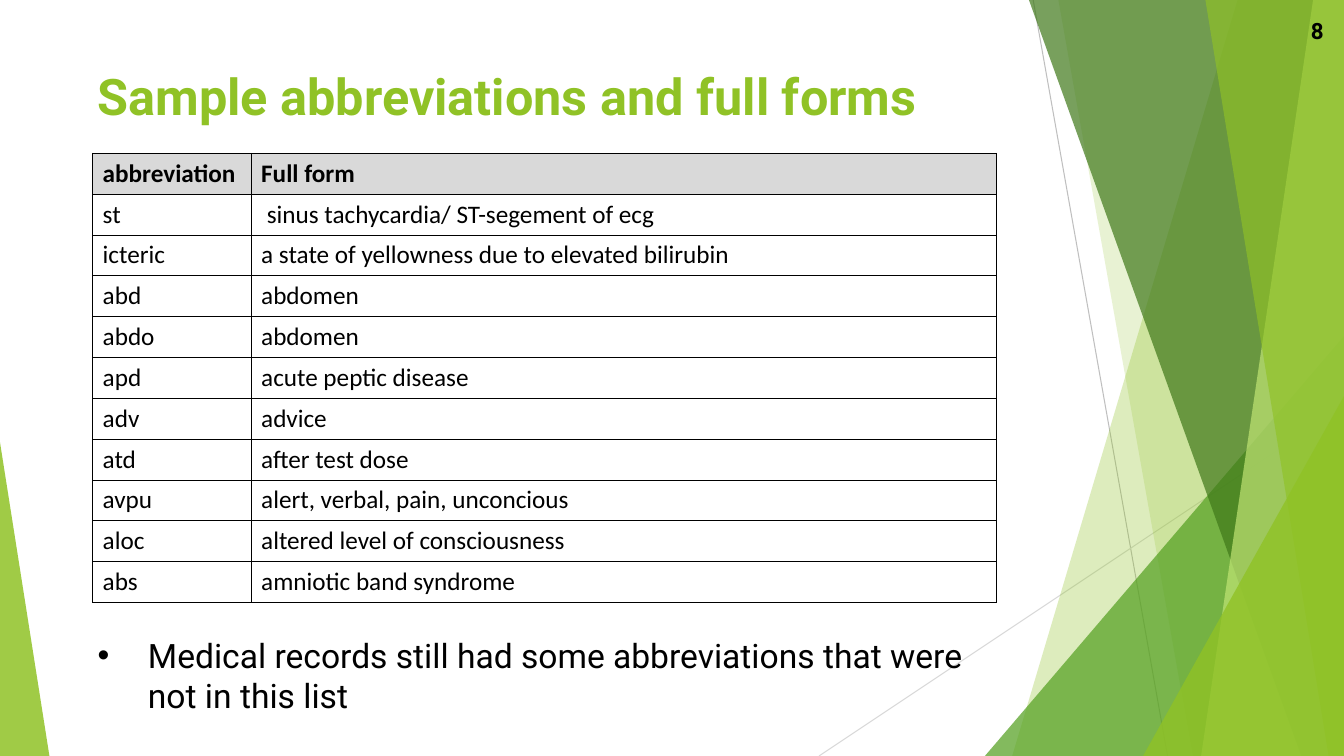
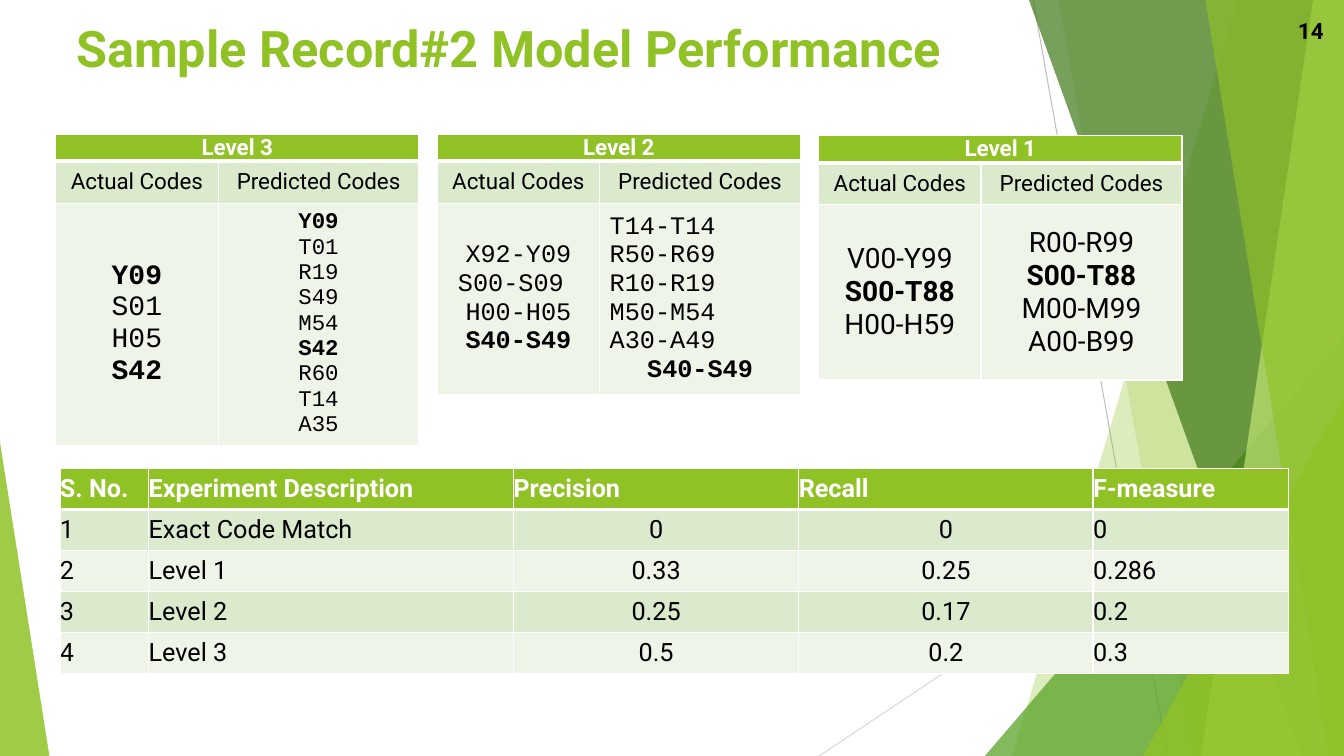
from dataclasses import dataclass, replace

from lxml.etree import SubElement
from pptx import Presentation
from pptx.dml.color import RGBColor
from pptx.enum.shapes import MSO_CONNECTOR as Connector, MSO_SHAPE as Shape
from pptx.enum.text import MSO_ANCHOR as Anchor, PP_ALIGN as Align
from pptx.oxml.ns import qn
from pptx.util import Pt


# Theme: colours, fonts and type sizes
class Theme:
    GREEN, MID_GREEN, DARK_GREEN, LIME = "90C226", "54A021", "3F7819", "C0E474"
    BAND, PALE_BAND, HEADER_GREY = "DBE9CD", "EEF4E8", "D9D9D9"
    BLACK, WHITE = "000000", "FFFFFF"
    RULE_DARK, RULE_LIGHT = "BFBFBF", "D9D9D9"
    SANS, TABLE, MONO = "Roboto", "Calibri", "Courier New"
    TITLE, BULLET, LARGE, BODY, SMALL = 36, 24, 20, 18, 16


@dataclass(frozen=True)
class TextStyle:
    size: float = Theme.BODY
    font: str = Theme.SANS
    color: str = Theme.BLACK
    bold: bool = False
    align: Align = Align.LEFT


@dataclass
class Cell:
    lines: list  # (text, TextStyle) pairs, one per paragraph
    fill: str = ""
    inset: tuple = (0, 0)  # horizontal, vertical
    anchor: Anchor = Anchor.MIDDLE
    border: str = Theme.WHITE
    border_width: float = 1
    bottom_width: float = 1


WIDTH, HEIGHT = 960, 540
CELL_INSET = (7.2, 3.6)

# Background decoration: colour, opacity in percent, outline points
FACETS_BACK = [
    (Theme.GREEN, 30, [(884, 0), (WIDTH, 0), (WIDTH, HEIGHT), (723, HEIGHT)]),
    (Theme.GREEN, 20, [(756, 0), (WIDTH, 0), (WIDTH, HEIGHT), (852, HEIGHT)]),
]
FACETS_FRONT = [
    (Theme.DARK_GREEN, 70, [(735, 0), (WIDTH, 0), (WIDTH, HEIGHT), (929.5, HEIGHT)]),
    (Theme.LIME, 70, [(938, 0), (WIDTH, 0), (WIDTH, HEIGHT), (858, HEIGHT)]),
    (Theme.GREEN, 65, [(861, 0), (WIDTH, 0), (WIDTH, HEIGHT), (949, HEIGHT)]),
]


class Deck:
    def __init__(self):
        self.presentation = Presentation()
        self.presentation.slide_width = Pt(WIDTH)
        self.presentation.slide_height = Pt(HEIGHT)
        self.slide = None

    # Slide frame: decoration, title and page number
    def add_slide(self, title, title_left, title_top, number):
        layout = self.presentation.slide_layouts[6]
        self.slide = self.presentation.slides.add_slide(layout)
        self.decorate()
        title_style = TextStyle(Theme.TITLE, color=Theme.GREEN, bold=True)
        self.text((title_left, title_top, 828, 60), title, title_style)
        number_style = TextStyle(Theme.SMALL, bold=True, align=Align.RIGHT)
        self.text((898.5, 7.2, 54, 28.8), number, number_style, Anchor.MIDDLE)

    def decorate(self):
        self.line((738, 0), (834, HEIGHT), Theme.RULE_DARK)
        self.line((WIDTH, 290), (585, HEIGHT), Theme.RULE_LIGHT)
        for facet in FACETS_BACK:
            self.facet(*facet)
        self.triangle((703.5, 240, 256.5, 300), 1, Theme.MID_GREEN, 72)
        for facet in FACETS_FRONT:
            self.facet(*facet)
        self.triangle((816.5, 283, 143.5, 257), 1, Theme.GREEN, 80)
        self.triangle((0, 316, 35.3, 224), 0, Theme.GREEN, 85)

    # Lines and filled shapes
    def line(self, start, end, color):
        connector = self.slide.shapes.add_connector(
            Connector.STRAIGHT, *map(Pt, start + end))
        connector.line.color.rgb = RGBColor.from_string(color)
        connector.line.width = Pt(0.75)
        SubElement(connector.element.spPr, qn("a:effectLst"))

    def facet(self, color, opacity, points):
        corners = [(Pt(x), Pt(y)) for x, y in points]
        builder = self.slide.shapes.build_freeform(*corners[0])
        builder.add_line_segments(corners[1:], close=True)
        self.paint(builder.convert_to_shape(), color, opacity)

    def triangle(self, box, apex, color, opacity):
        shape = self.slide.shapes.add_shape(Shape.ISOSCELES_TRIANGLE, *map(Pt, box))
        shape.adjustments[0] = apex
        self.paint(shape, color, opacity)

    def paint(self, shape, color, opacity):
        shape.shadow.inherit = False
        shape.line.fill.background()
        shape.fill.solid()
        shape.fill.fore_color.rgb = RGBColor.from_string(color)
        color_element = shape.element.spPr.find(".//" + qn("a:srgbClr"))
        SubElement(color_element, qn("a:alpha"), val=str(opacity * 1000))

    # Text
    def add_lines(self, frame, lines):
        for index, (text, style) in enumerate(lines):
            paragraph = frame.add_paragraph() if index else frame.paragraphs[0]
            paragraph.alignment = style.align
            run = paragraph.add_run()
            run.text = text
            run.font.size = Pt(style.size)
            run.font.name = style.font
            run.font.bold = style.bold
            run.font.color.rgb = RGBColor.from_string(style.color)

    def text(self, box, text, style, anchor=Anchor.TOP):
        frame = self.slide.shapes.add_textbox(*map(Pt, box)).text_frame
        frame.word_wrap = True
        frame.vertical_anchor = anchor
        self.add_lines(frame, [(text, style)])
        return frame

    def bullet(self, box, text):
        frame = self.text(box, text, TextStyle(Theme.BULLET))
        properties = frame.paragraphs[0]._p.get_or_add_pPr()
        properties.set("marL", str(Pt(36)))
        properties.set("indent", str(-Pt(36)))
        SubElement(properties, qn("a:buFont"), typeface="Arial")
        SubElement(properties, qn("a:buChar"), char="•")

    # Tables
    def table(self, left, top, widths, heights, rows, merge_header=False):
        table = self.slide.shapes.add_table(
            len(heights), len(widths), Pt(left), Pt(top),
            Pt(sum(widths)), Pt(sum(heights))).table
        table.first_row = table.horz_banding = False
        for column, width in zip(table.columns, widths):
            column.width = Pt(width)
        for row, height, cells in zip(table.rows, heights, rows):
            row.height = Pt(height)
            for target, cell in zip(row.cells, cells):
                self.fill_cell(target, cell)
        if merge_header:
            table.cell(0, 0).merge(table.cell(0, len(widths) - 1))

    def fill_cell(self, target, cell):
        horizontal, vertical = cell.inset
        target.margin_left = target.margin_right = Pt(horizontal)
        target.margin_top = target.margin_bottom = Pt(vertical)
        target.vertical_anchor = cell.anchor
        self.add_lines(target.text_frame, cell.lines)
        if cell.fill:
            target.fill.solid()
            target.fill.fore_color.rgb = RGBColor.from_string(cell.fill)
        else:
            target.fill.background()
        properties = target._tc.get_or_add_tcPr()
        for index, side in enumerate("LRTB"):
            width = cell.bottom_width if side == "B" else cell.border_width
            border = SubElement(properties, qn(f"a:ln{side}"), w=str(Pt(width)))
            fill = SubElement(border, qn("a:solidFill"))
            SubElement(fill, qn("a:srgbClr"), val=cell.border)
            properties.insert(index, border)


# Slide: abbreviations
ABBREVIATIONS = [
    ("abbreviation", "Full form"),
    ("st", " sinus tachycardia/ ST-segement of ecg"),
    ("icteric", "a state of yellowness due to elevated bilirubin"),
    ("abd", "abdomen"),
    ("abdo", "abdomen"),
    ("apd", "acute peptic disease"),
    ("adv", "advice"),
    ("atd", "after test dose"),
    ("avpu", "alert, verbal, pain, unconcious"),
    ("aloc", "altered level of consciousness"),
    ("abs", "amniotic band syndrome"),
]


def abbreviation_slide(deck):
    deck.add_slide("Sample abbreviations and full forms", 62.6, 43.2, "8")
    rows = []
    for index, texts in enumerate(ABBREVIATIONS):
        style = TextStyle(font=Theme.TABLE, bold=index == 0)
        fill = "" if index else Theme.HEADER_GREY
        rows.append([Cell([(text, style)], fill, CELL_INSET, Anchor.BOTTOM,
                          Theme.BLACK, 0.5, 0.5) for text in texts])
    deck.table(66.2, 109.4, (113.2, 532.4), [29.17] * len(rows), rows)
    deck.bullet((62.6, 450, 648.7, 65.5),
                "Medical records still had some abbreviations that were not in this list")


# Slide: model performance
@dataclass
class Level:
    name: str
    actual: list
    predicted: list
    actual_style: TextStyle
    predicted_style: TextStyle
    top: float = 95.8
    codes_height: float = 125.3
    inset: tuple = (0, 0)


MONO = TextStyle(font=Theme.MONO, align=Align.CENTER)
LARGE_SANS = TextStyle(Theme.LARGE, align=Align.CENTER)
LEVELS = [
    Level("Level 3", ["Y09", "S01", "H05", "S42"],
          ["Y09", "T01", "R19", "S49", "M54", "S42", "R60", "T14", "A35"],
          replace(MONO, size=Theme.LARGE), replace(MONO, size=Theme.SMALL)),
    Level("Level 2", ["X92-Y09", "S00-S09 ", "H00-H05", "S40-S49"],
          ["T14-T14", "R50-R69", "R10-R19", "M50-M54", "A30-A49", "S40-S49"],
          MONO, replace(MONO, align=Align.LEFT),
          codes_height=133.2, inset=CELL_INSET),
    Level("Level 1", ["V00-Y99", "S00-T88", "H00-H59"],
          ["R00-R99", "S00-T88", "M00-M99", "A00-B99"],
          LARGE_SANS, LARGE_SANS, top=96.8),
]
RESULTS = [
    ("S. No.", "Experiment Description", "Precision", "Recall", "F-measure"),
    ("1", "Exact Code Match", "0", "0", "0"),
    ("2", "Level 1", "0.33", "0.25", "0.286"),
    ("3", "Level 2", "0.25", "0.17", "0.2"),
    ("4", "Level 3", "0.5", "0.2", "0.3"),
]


def level_rows(level):
    heading = TextStyle(Theme.SMALL, color=Theme.WHITE, bold=True, align=Align.CENTER)
    label = TextStyle(Theme.SMALL, align=Align.CENTER)
    matches = set(level.actual) & set(level.predicted)

    def codes_cell(codes, style):
        match_style = replace(style, bold=True, align=Align.CENTER)
        lines = [(code, match_style if code in matches else style) for code in codes]
        return Cell(lines, Theme.PALE_BAND, level.inset)

    return [
        [Cell([(level.name, heading)], Theme.GREEN, bottom_width=3),
         Cell([], Theme.GREEN, bottom_width=3)],
        [Cell([(text, label)], Theme.BAND)
         for text in ("Actual Codes", "Predicted Codes")],
        [codes_cell(level.actual, level.actual_style),
         codes_cell(level.predicted, level.predicted_style)],
    ]


def result_rows():
    heading = TextStyle(color=Theme.WHITE, bold=True)
    rows = [[Cell([(text, heading)], Theme.GREEN, bottom_width=3) for text in RESULTS[0]]]
    for index, texts in enumerate(RESULTS[1:]):
        fill = Theme.PALE_BAND if index % 2 else Theme.BAND
        rows.append([
            Cell([(text, TextStyle(align=Align.CENTER if column in (2, 3) else Align.LEFT))],
                 fill)
            for column, text in enumerate(texts)])
    return rows


def performance_slide(deck):
    deck.add_slide("Sample Record#2 Model Performance", 47.5, 8.6, "14")
    for index, level in enumerate(LEVELS):
        deck.table(39.8 + 272.5 * index, level.top, (116, 143.5),
                   (19.4, 30, level.codes_height), level_rows(level), merge_header=True)
    deck.table(42.8, 334.8, (63.4, 260.6, 203.8, 210.2, 139.7),
               [29.2] * len(RESULTS), result_rows())


def main():
    deck = Deck()
    abbreviation_slide(deck)
    performance_slide(deck)
    deck.presentation.save("out.pptx")


if __name__ == "__main__":
    main()
